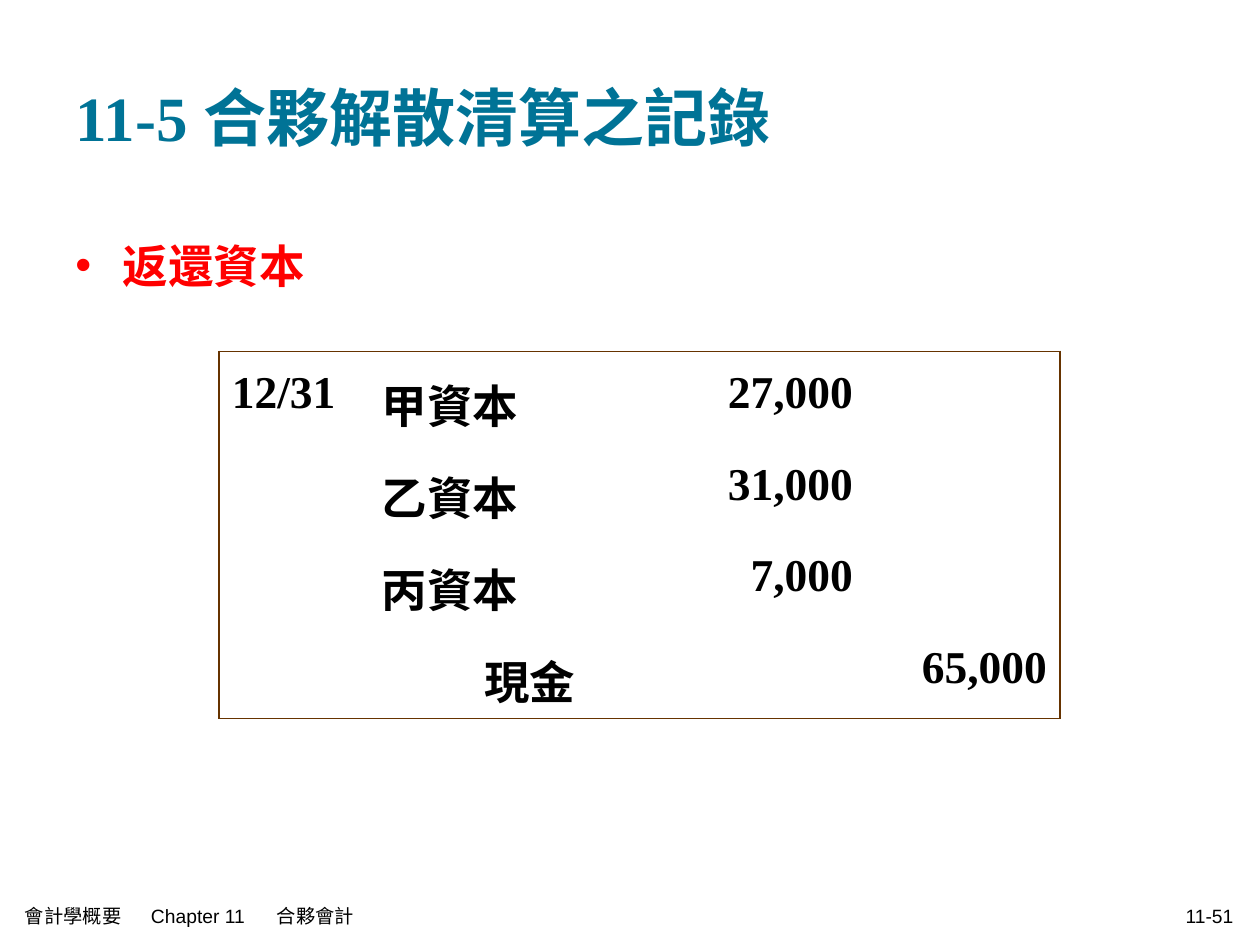
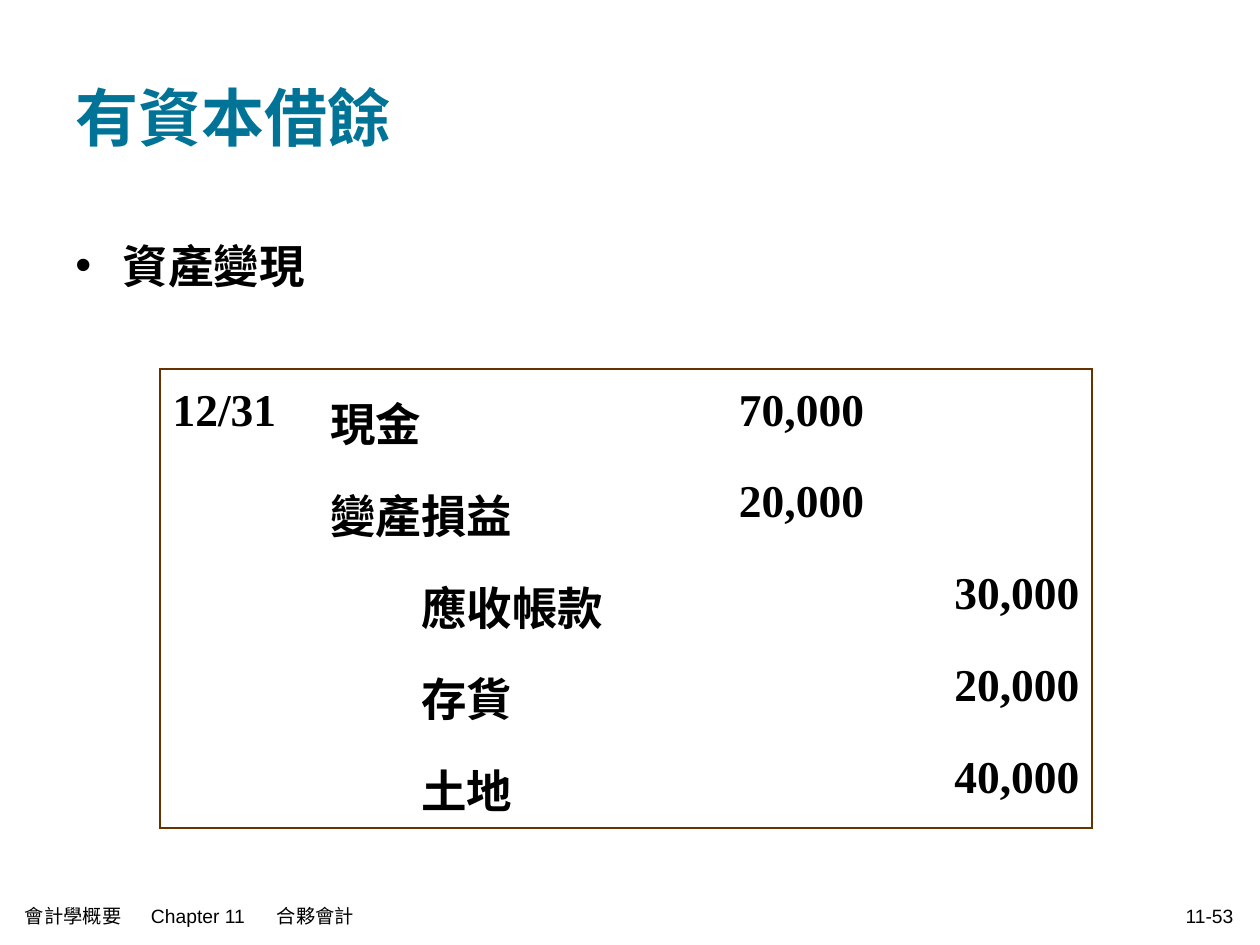
from dataclasses import dataclass

from lxml import etree
from pptx import Presentation
from pptx import util as u
from pptx.dml.color import RGBColor
from pptx.enum import text
from pptx.oxml import ns

Pt = u.Pt
LEFT, RIGHT = text.PP_ALIGN.LEFT, text.PP_ALIGN.RIGHT
TOP, MIDDLE = text.MSO_ANCHOR.TOP, text.MSO_ANCHOR.MIDDLE


@dataclass(frozen=True)
class Theme:
    title_color: str = "007396"
    highlight: str = "FF0000"
    ink: str = "000000"
    border: str = "663300"
    serif: str = "Times New Roman"
    sans: str = "Arial"
    title_size: float = 36
    body_size: float = 26
    footer_size: float = 11
    border_width: float = 1.08
    line_spacing: float = 1.2


THEME = Theme()
CREDIT_INDENT = 2 * THEME.body_size


def add_element(parent, tag, **attributes):
    return etree.SubElement(parent, ns.qn(tag), **attributes)


def write_text(frame, content, *, size=THEME.body_size, font=THEME.serif,
               color=THEME.ink, bold=True, align=LEFT, anchor=TOP,
               spacing=None, indent=0, bullet=None, tabs=()):
    frame.word_wrap = True
    frame.auto_size = text.MSO_AUTO_SIZE.NONE
    frame.vertical_anchor = anchor
    write_paragraph(frame.paragraphs[0], content, size=size, font=font,
                    color=color, bold=bold, align=align, spacing=spacing,
                    indent=indent, bullet=bullet, tabs=tabs)


def write_paragraph(paragraph, content, *, size=THEME.body_size,
                    font=THEME.serif, color=THEME.ink, bold=True, align=LEFT,
                    spacing=None, indent=0, bullet=None, tabs=()):
    paragraph.alignment = align
    if spacing:
        paragraph.line_spacing = spacing
    properties = paragraph._p.get_or_add_pPr()
    properties.set("marL", str(Pt(indent)))
    properties.set("indent", str(Pt(-indent if bullet else 0)))
    if bullet:
        bullet_color = add_element(properties, "a:buClr")
        add_element(bullet_color, "a:srgbClr", val=color)
        add_element(properties, "a:buFont", typeface=THEME.sans)
        add_element(properties, "a:buChar", char=bullet)
    if tabs:
        tab_list = add_element(properties, "a:tabLst")
        for position in tabs:
            add_element(tab_list, "a:tab", pos=str(Pt(position)), algn="l")
    run = paragraph.add_run()
    run.text = content
    run.font.size = Pt(size)
    run.font.name = font
    run.font.bold = bold
    run.font.color.rgb = RGBColor.from_string(color)


def add_title(slide, content):
    title = slide.shapes.title
    title.left, title.top, title.width, title.height = map(Pt, (36, 21.6, 648, 90))
    write_text(title.text_frame, content, size=THEME.title_size,
               color=THEME.title_color, anchor=MIDDLE)


def add_text(slide, content, box, **text_format):
    shape = slide.shapes.add_textbox(*map(Pt, box))
    write_text(shape.text_frame, content, **text_format)


def add_footer(slide, page):
    style = dict(size=THEME.footer_size, font=THEME.sans, bold=False, anchor=MIDDLE)
    add_text(slide, "會計學概要\tChapter 11\t合夥會計", (7.2, 511.2, 367.2, 23.8),
             tabs=(65, 128), **style)
    add_text(slide, page, (487.4, 511.2, 224.6, 23.8), align=RIGHT, **style)


def set_borders(cell, outer_sides):
    properties = cell._tc.get_or_add_tcPr()
    for side in "LRTB":
        line = add_element(properties, f"a:ln{side}", w=str(Pt(THEME.border_width)))
        if side in outer_sides:
            fill = add_element(line, "a:solidFill")
            add_element(fill, "a:srgbClr", val=THEME.border)
        else:
            add_element(line, "a:noFill")


def add_journal(slide, entries, *, left, top, columns, row_height,
                credit_indent=CREDIT_INDENT):
    last_row, last_column = len(entries) - 1, len(columns) - 1
    table = slide.shapes.add_table(
        len(entries), len(columns), Pt(left), Pt(top),
        Pt(sum(columns)), Pt(row_height * len(entries))).table
    table.first_row = table.horz_banding = False
    for column, width in zip(table.columns, columns):
        column.width = Pt(width)
    for r, entry in enumerate(entries):
        table.rows[r].height = Pt(row_height)
        is_credit = bool(entry[-1])
        for c, content in enumerate(entry):
            cell = table.cell(r, c)
            edges = {"L": c == 0, "R": c == last_column, "T": r == 0, "B": r == last_row}
            set_borders(cell, [side for side, outer in edges.items() if outer])
            cell.fill.background()
            if content:
                write_paragraph(cell.text_frame.paragraphs[0], content,
                                align=RIGHT if c > 1 else LEFT,
                                indent=credit_indent if c == 1 and is_credit else 0,
                                spacing=THEME.line_spacing)


def add_journal_slide(presentation, title, topic, page, entries, *,
                      topic_color=THEME.ink, **journal_layout):
    slide = presentation.slides.add_slide(presentation.slide_layouts[5])
    add_title(slide, title)
    add_text(slide, topic, (36, 126, 648, 356.4), color=topic_color,
             spacing=THEME.line_spacing, indent=27, bullet="•")
    add_journal(slide, entries, **journal_layout)
    add_footer(slide, page)


def main():
    presentation = Presentation()
    presentation.slide_width, presentation.slide_height = Pt(720), Pt(540)
    add_journal_slide(
        presentation, "11-5 合夥解散清算之記錄", "返還資本", "11-51",
        [("12/31", "甲資本", "27,000", ""),
         ("", "乙資本", "31,000", ""),
         ("", "丙資本", "7,000", ""),
         ("", "現金", "", "65,000")],
        topic_color=THEME.highlight, left=125.3, top=200.9,
        columns=(85.7, 153.4, 130.3, 110.9), row_height=42.3,
        credit_indent=CREDIT_INDENT + THEME.body_size / 4)
    add_journal_slide(
        presentation, "有資本借餘", "資產變現", "11-53",
        [("12/31", "現金", "70,000", ""),
         ("", "變產損益", "20,000", ""),
         ("", "應收帳款", "", "30,000"),
         ("", "存貨", "", "20,000"),
         ("", "土地", "", "40,000")],
        left=91.4, top=211, columns=(90, 195.1, 124.6, 123.1), row_height=44.6)
    presentation.save("out.pptx")


if __name__ == "__main__":
    main()
